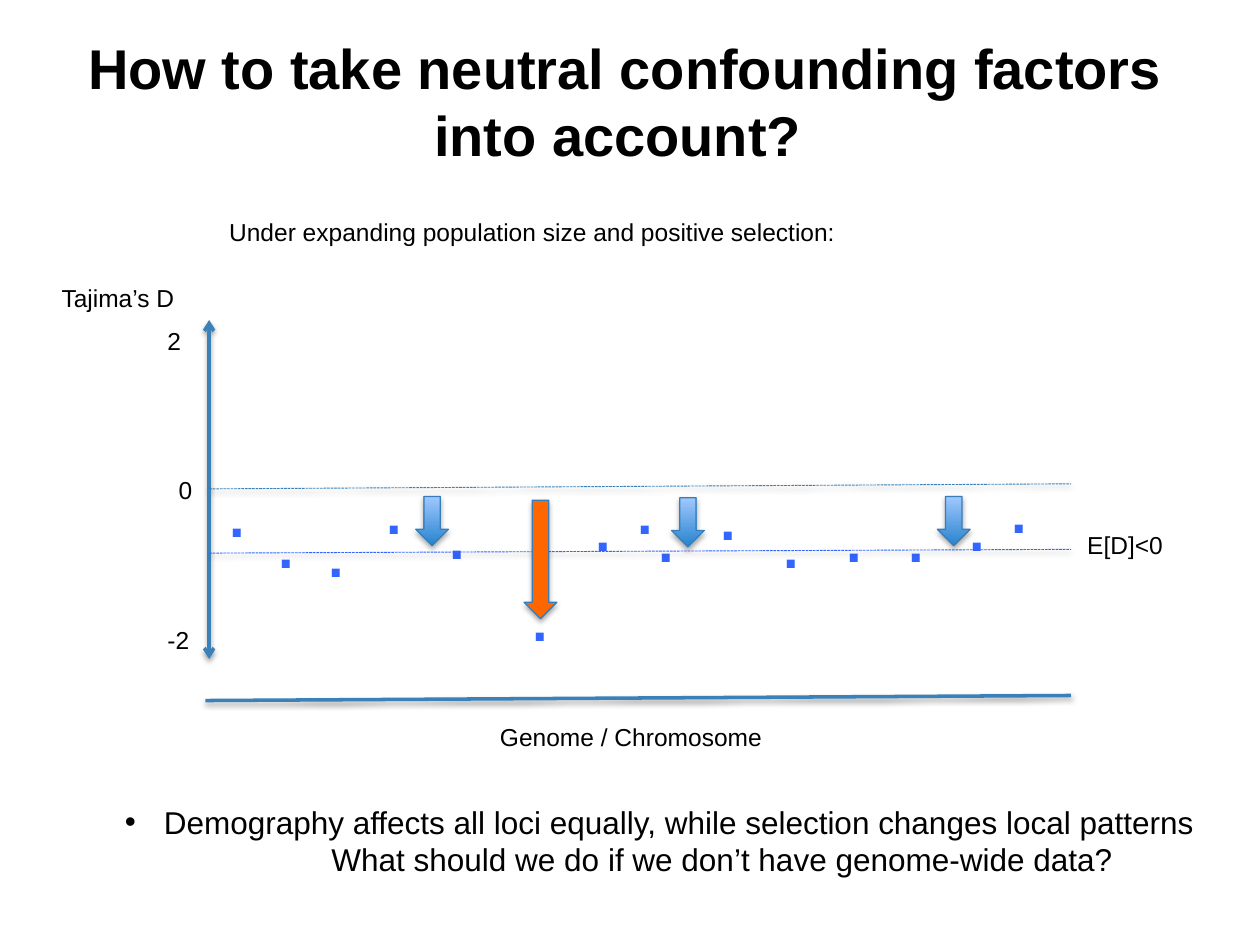
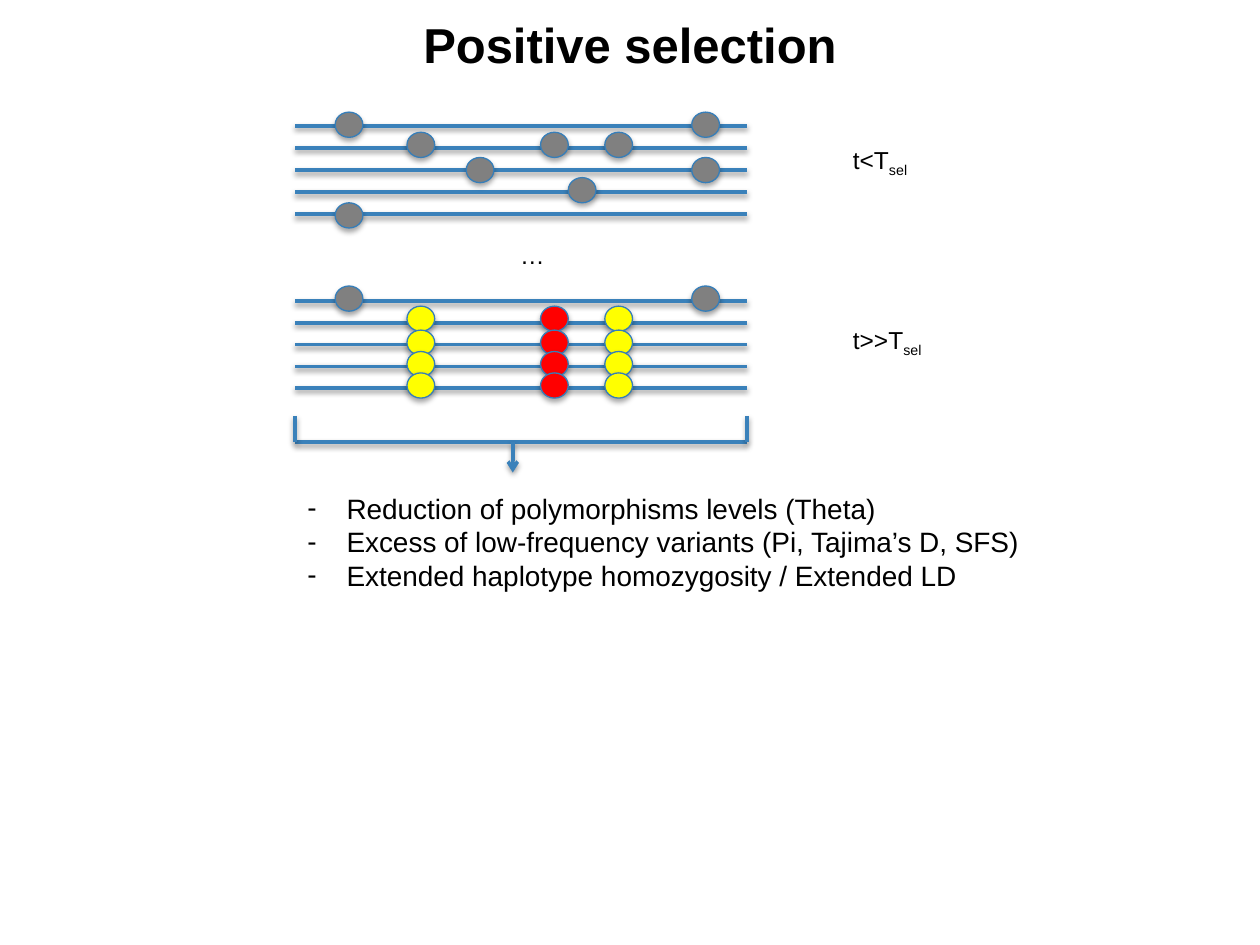
from lxml.etree import SubElement
from pptx import Presentation
from pptx.dml.color import RGBColor
from pptx.enum.dml import MSO_LINE as Dash
from pptx.enum.shapes import MSO_CONNECTOR as Conn, MSO_SHAPE as Kind
from pptx.enum.text import MSO_ANCHOR as Anchor, MSO_AUTO_SIZE as Auto, PP_ALIGN as Align
from pptx.oxml.ns import qn
from pptx.util import Inches, Pt

CELL = Inches(0.1)  # the slide is a grid of 100 columns by 75 rows
FONT = "Arial"
INK, AXIS, EDGE, DOT = "000000", "3A81BA", "367EB9", "3366FF"
DARK, PALE, HOT = "2783CD", "A0C8FF", "FF6600"
BALLS = {"G": "808080", "Y": "FFFF00", "R": "FF0000"}
SITES = (3.2, 8.9, 13.6, 19.5, 21.7, 24.6, 31.5)
SPOTS = ((0.6, 12.3), (4.5, 14.8), (8.5, 15.5), (13.1, 12.1), (18.1, 14.1),
         (24.7, 20.6), (29.7, 13.4), (33, 12.1), (34.7, 14.3), (39.6, 12.6),
         (44.6, 14.8), (49.6, 14.3), (54.5, 14.3), (59.4, 13.4), (62.7, 12))


def cells(*vals):
    return [round(v * CELL) for v in vals]


def color(code):
    return RGBColor.from_string(code)


def style(obj, **fmt):
    for key, val in fmt.items():
        setattr(obj, key, val)


def ink(font, size, code=INK, bold=False):
    style(font, name=FONT, size=Pt(size), bold=bold)
    font.color.rgb = color(code)


def shade(shape, alpha, dist):
    """Add a soft shadow that falls straight down."""
    fx = SubElement(shape.element.spPr, qn("a:effectLst"))
    drop = SubElement(fx, qn("a:outerShdw"), blurRad=str(Pt(3.1)), dist=str(Pt(dist)),
                      dir="5400000", rotWithShape="0")
    tone = SubElement(drop, qn("a:srgbClr"), val=INK)
    SubElement(tone, qn("a:alpha"), val=str(alpha * 1000))


def line(shapes, start, end, code=AXIS, width=2, dash=None, arrow=False):
    rule = shapes.add_connector(Conn.STRAIGHT, *cells(*start, *end))
    rule.line.color.rgb = color(code)
    style(rule.line, width=Pt(width), dash_style=dash)
    if arrow:
        SubElement(rule.line._get_or_add_ln(), qn("a:tailEnd"), type="arrow")
    shade(rule, 38, 1.6)


def solid(shapes, kind, box, code=None):
    """Draw a shape in one colour, or in the blue gradient when none is given."""
    shape = shapes.add_shape(kind, *cells(*box))
    if code:
        shape.fill.solid()
        shape.fill.fore_color.rgb = color(code)
    else:
        shape.fill.gradient()
        shape.fill.gradient_angle = 90
        for stop, tint in zip(shape.fill.gradient_stops, (DARK, PALE)):
            stop.color.rgb = color(tint)
    shape.line.color.rgb = color(EDGE)
    shape.line.width = Pt(0.75)
    shade(shape, 35, 1.8)


def label(shapes, box, text, sub="", size=14, **look):
    frame = shapes.add_textbox(*cells(*box)).text_frame
    frame.word_wrap = False
    para = frame.paragraphs[0]
    para.add_run().text = text
    if sub:
        low = para.add_run()
        low.text = sub
        low._r.get_or_add_rPr().set("baseline", "-25000")
    for run in para.runs:
        ink(run.font, size, **look)


def place(holder, box):
    style(holder, **dict(zip(("left", "top", "width", "height"), cells(*box))))
    frame = holder.text_frame
    style(frame, auto_size=Auto.NONE, word_wrap=True)
    return frame


def title(slide, box, text, size):
    frame = place(slide.shapes.title, box)
    pad = Inches(0.1)
    style(frame, vertical_anchor=Anchor.MIDDLE, text=text, margin_left=pad,
          margin_right=pad, margin_top=pad, margin_bottom=pad)
    para = frame.paragraphs[0]
    para.alignment = Align.CENTER
    ink(para.runs[0].font, size, bold=True)


def points(slide, box, items, size, mark, tail=None):
    """Fill the body with marked items and an unmarked, centred last line."""
    frame = place(slide.placeholders[1], box)
    frame.vertical_anchor = Anchor.TOP
    lines = items + ([tail] if tail else [])
    frame.text = "\n".join(lines)
    for para, text in zip(frame.paragraphs, lines):
        last = text == tail
        style(para, space_before=Pt(0), alignment=Align.CENTER if last else Align.LEFT)
        props = para._p.get_or_add_pPr()
        props.set("marL", str(Inches(0.9 if last else 0.31)))
        props.set("indent", str(0 if last else -Inches(0.31)))
        if last:
            SubElement(props, qn("a:buNone"))
        else:
            SubElement(props, qn("a:buFont"), typeface=FONT)
            SubElement(props, qn("a:buChar"), char=mark)
        ink(para.runs[0].font, size)


def plot(slide, box):
    """Sketch Tajima's D along the genome."""
    left, top, wide, high = box
    shapes = slide.shapes

    def at(x, y):
        return left + x, top + y

    line(shapes, at(0, 13.4), at(wide, 13), width=0.5, dash=Dash.SQUARE_DOT)
    for end in (0, high):
        line(shapes, at(0, 13.4), at(0, end), arrow=True)
    line(shapes, at(-0.3, 30.2), at(wide, 29.8))
    for x, y, w, text in (
            (0.6, -8.7, 50.5, "Under expanding population size and positive selection:"),
            (-12.7, -3.4, 11.3, "Tajima’s D"), (-4.3, 0, 3.1, "2"),
            (-3.4, 11.8, 3.1, "0"), (-4.3, 23.7, 3.8, "-2"),
            (22.1, 31.4, 23, "Genome / Chromosome"), (68.7, 16.2, 8.1, "E[D]<0")):
        label(shapes, (*at(x, y), w, 3.4), text)
    for spot in SPOTS:
        label(shapes, (*at(*spot), 3.3, 6.4), ".", size=32, code=DOT, bold=True)
    line(shapes, at(0, 18.5), at(wide, 18.2), DOT, 0.5, Dash.SQUARE_DOT)
    for x, y, tall, code in ((16.4, 14, 3.9, None), (57.8, 14, 3.9, None),
                             (36.7, 14.1, 3.9, None), (25, 14.3, 9.4, HOT)):
        solid(shapes, Kind.DOWN_ARROW, (*at(x, y), 2.6, tall), code)


def strands(slide, box, rows, tops):
    """Group evenly spaced strands; each row's letters mark its sites."""
    left, top, wide, high = box
    shapes = slide.shapes.add_group_shape().shapes
    step = high / (len(rows) - 1)
    for i in range(len(rows)):
        y = top + i * step
        line(shapes, (left, y), (left + wide, y))
    for row, drop in zip(rows, tops):
        for x, key in zip(SITES, row):
            if key in BALLS:
                solid(shapes, Kind.OVAL, (left + x, top + drop, 2.2, 2), BALLS[key])


def bracket(slide, box):
    left, top, wide, high = box
    base, right = top + high, left + wide
    line(slide.shapes, (left, base), (right, base))
    for x in (left, right):
        line(slide.shapes, (x, top), (x, base))
    line(slide.shapes, (left + 17.3, base), (left + 17.3, base + 2.4), arrow=True)


def factors(slide):
    title(slide, (5.5, 4.7, 88.3, 6.6),
          "How to take neutral confounding factors into account? ", 32)
    plot(slide, (16.6, 25.4, 68.4, 26.9))
    points(slide, (8.9, 63.2, 87.8, 7.1),
           ["Demography affects all loci equally, while selection changes local patterns"],
           18, "•", "What should we do if we don’t have genome-wide data?")


def sweep(slide):
    left, wide = 23.4, 35.9
    title(slide, (5, 0.2, 90, 6.6), "Positive selection", 28)
    strands(slide, (left, 10, wide, 7),
            ["G.....G", ".G.G.G.", "..G...G", "....G..", "G......"],
            (-1.1, 0.5, 2.5, 4.1, 6.1))
    strands(slide, (left, 23.9, wide, 6.9), ["G.....G"] + [".Y.R.Y."] * 4,
            (-1.2, 0.4, 2.3, 4, 5.7))
    for y, text in ((11, "t<T"), (25.3, "t>>T")):
        label(slide.shapes, (66.7, y, 10.8, 3.4), text, "sel")
    slide.shapes[-1].text_frame.word_wrap = slide.shapes[-2].text_frame.word_wrap = True
    bracket(slide, (left, 33, wide, 2.1))
    points(slide, (left, 38.5, 59.4, 9.1),
           ["Reduction of polymorphisms levels (Theta)",
            "Excess of low-frequency variants (Pi, Tajima’s D, SFS)",
            "Extended haplotype homozygosity / Extended LD"], 16, "-")
    label(slide.shapes, (40.3, 18.6, 4, 3.4), "…")


def main():
    deck = Presentation()
    style(deck, slide_width=100 * CELL, slide_height=75 * CELL)
    for build in (factors, sweep):
        build(deck.slides.add_slide(deck.slide_layouts[1]))
    deck.save("out.pptx")


if __name__ == "__main__":
    main()
